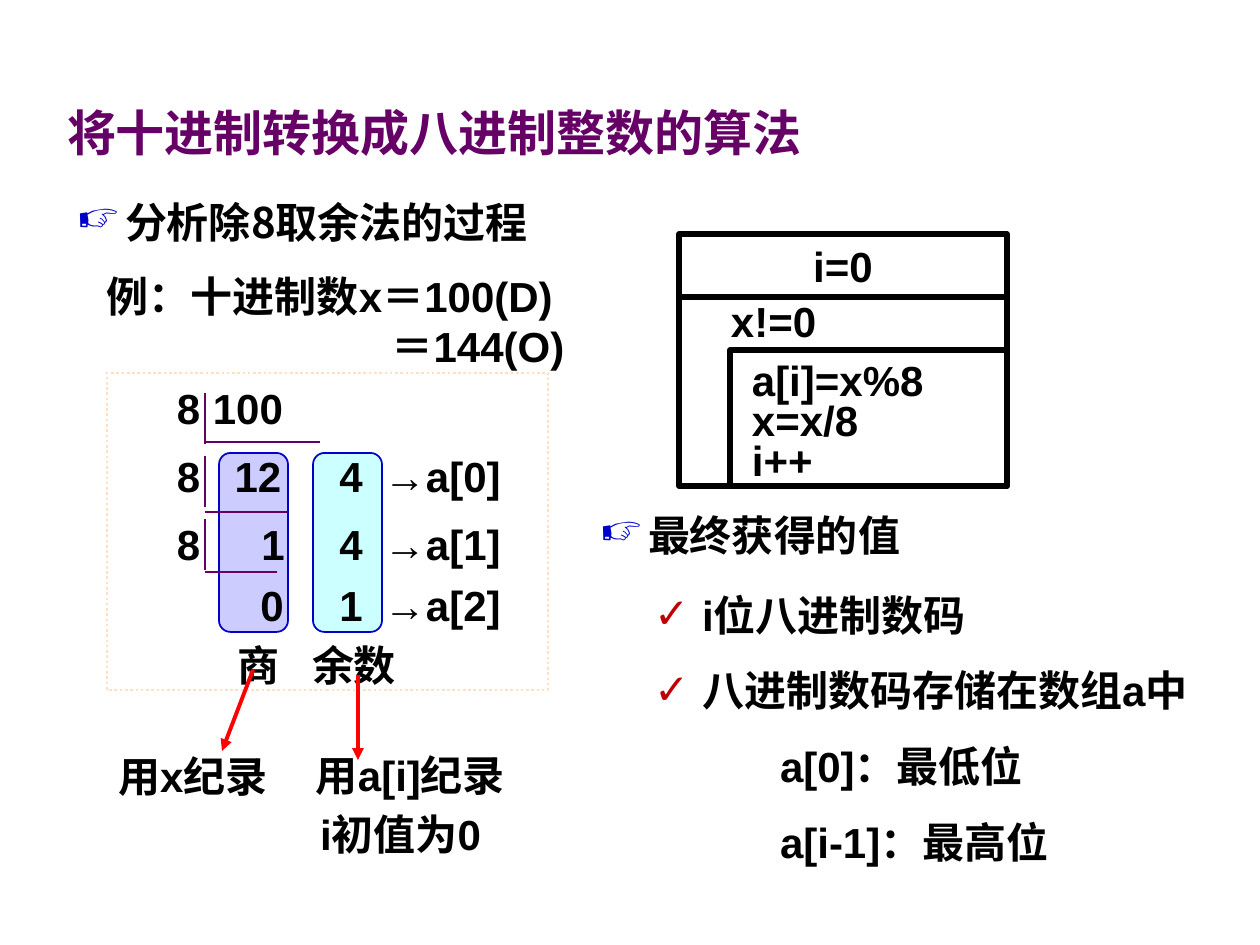
from typing import NamedTuple

from lxml import etree
from pptx import Presentation
from pptx import util as u
from pptx.dml.color import RGBColor
from pptx.enum import dml, shapes, text
from pptx.oxml.ns import qn

PX = 914400 / 126
BLACK = RGBColor(0x00, 0x00, 0x00)
PURPLE = RGBColor(0x66, 0x00, 0x66)
BLUE = RGBColor(0x00, 0x00, 0xCC)
BRICK = RGBColor(0xC0, 0x00, 0x00)
RED = RGBColor(0xFF, 0x00, 0x00)
LILAC = RGBColor(0xCC, 0xCC, 0xFF)
AQUA = RGBColor(0xCC, 0xFF, 0xFF)
PEACH = RGBColor(0xFF, 0xE0, 0xC2)
ARIAL, SANS, TIMES = "Arial", "Noto Sans CJK SC", "Times New Roman"
LEFT, CENTER = text.PP_ALIGN.LEFT, text.PP_ALIGN.CENTER
HANGING = 48


class Box(NamedTuple):
    left: int
    top: int
    width: int
    height: int


class Label(NamedTuple):
    words: str
    box: Box
    align: text.PP_ALIGN = LEFT
    font: str = ARIAL
    bullet: str = ""


class Stroke(NamedTuple):
    start: tuple[int, int]
    end: tuple[int, int]


class Frame(NamedTuple):
    box: Box
    line: RGBColor
    weight: float
    fill: RGBColor | None = None
    kind: shapes.MSO_SHAPE = shapes.MSO_SHAPE.RECTANGLE


class DivisionRow(NamedTuple):
    number: str
    number_left: int
    top: int
    remainder: str = ""
    target: str = ""
    rule_end: int = 0


def emu(*lengths: int) -> list[u.Emu]:
    return [u.Emu(round(length * PX)) for length in lengths]


def add_bullet(paragraph, mark: str, color: RGBColor) -> None:
    props = paragraph._p.get_or_add_pPr()
    indent = emu(HANGING)[0]
    props.set("marL", str(indent))
    props.set("indent", str(-indent))
    bullet_color = etree.SubElement(props, qn("a:buClr"))
    etree.SubElement(bullet_color, qn("a:srgbClr")).set("val", str(color))
    etree.SubElement(props, qn("a:buChar")).set("char", mark)


def drop_bullet(paragraph, indent: int) -> None:
    props = paragraph._p.get_or_add_pPr()
    props.set("marL", str(emu(indent)[0]))
    props.set("indent", "0")
    etree.SubElement(props, qn("a:buNone"))


def style(paragraph, font: str = ARIAL, size: int = 24, color: RGBColor = BLACK) -> None:
    paragraph.font.name = font
    paragraph.font.size = u.Pt(size)
    paragraph.font.bold = True
    paragraph.font.color.rgb = color


def set_insets(frame, horizontal: int, vertical: int) -> None:
    frame.margin_left, frame.margin_right = emu(horizontal, horizontal)
    frame.margin_top, frame.margin_bottom = emu(vertical, vertical)


def place(shape, box: Box) -> None:
    shape.left, shape.top, shape.width, shape.height = emu(*box)


def add_label(slide, label: Label) -> None:
    frame = slide.shapes.add_textbox(*emu(*label.box)).text_frame
    frame.word_wrap = True
    set_insets(frame, 0, 0)
    paragraph = frame.paragraphs[0]
    paragraph.text = label.words
    paragraph.alignment = label.align
    if label.bullet:
        add_bullet(paragraph, label.bullet, BLUE)
    style(paragraph, label.font)


def add_frame(slide, frame: Frame):
    shape = slide.shapes.add_shape(frame.kind, *emu(*frame.box))
    shape.shadow.inherit = False
    if frame.fill is None:
        shape.fill.background()
    else:
        shape.fill.solid()
        shape.fill.fore_color.rgb = frame.fill
    shape.line.color.rgb = frame.line
    shape.line.width = u.Pt(frame.weight)
    return shape


def add_stroke(slide, stroke: Stroke, color: RGBColor, weight: float, arrow: bool = False) -> None:
    line = slide.shapes.add_connector(
        shapes.MSO_CONNECTOR.STRAIGHT, *emu(*stroke.start, *stroke.end))
    line.line.color.rgb = color
    line.line.width = u.Pt(weight)
    if arrow:
        etree.SubElement(line.line._get_or_add_ln(), qn("a:tailEnd")).set("type", "triangle")
    etree.SubElement(line._element.spPr, qn("a:effectLst"))


def add_title(slide) -> None:
    title = slide.shapes.title
    place(title, Box(54, 96, 1052, 72))
    frame = title.text_frame
    frame.text = "将十进制转换成八进制整数的算法"
    frame.vertical_anchor = text.MSO_ANCHOR.TOP
    set_insets(frame, 13, 6)
    frame.paragraphs[0].alignment = LEFT
    style(frame.paragraphs[0], TIMES, 28, PURPLE)


def add_results(slide) -> None:
    body = slide.placeholders[1]
    place(body, Box(654, 564, 606, 305))
    frame = body.text_frame
    set_insets(frame, 0, 0)
    frame.text = "i位八进制数码\n八进制数码存储在数组a中\na[0]：最低位\na[i-1]：最高位"
    for number, paragraph in enumerate(frame.paragraphs):
        paragraph.line_spacing = 1.5
        paragraph.space_before = u.Pt(0)
        if number < 2:
            add_bullet(paragraph, "✓", BRICK)
        else:
            drop_bullet(paragraph, 126)
        style(paragraph)


def add_division(slide) -> None:
    for left, fill in ((219, LILAC), (313, AQUA)):
        add_frame(slide, Frame(Box(left, 453, 69, 179), BLUE, 1, fill,
                               shapes.MSO_SHAPE.ROUNDED_RECTANGLE))
    rows = [
        DivisionRow("100", 190, 383, rule_end=320),
        DivisionRow("12", 200, 451, "4", "→a[0]", 287),
        DivisionRow("1", 215, 519, "4", "→a[1]", 277),
        DivisionRow("0", 214, 580, "1", "→a[2]"),
    ]
    rule_tops = (442, 512, 572)
    bar_tops = (393, 456, 519)
    for row in rows:
        add_label(slide, Label(row.number, Box(row.number_left, row.top, 116, 50), CENTER))
        if row.rule_end:
            add_label(slide, Label("8", Box(152, row.top, 73, 50), CENTER))
        if row.remainder:
            add_label(slide, Label(row.remainder, Box(320, row.top, 62, 50), CENTER))
            add_label(slide, Label(row.target, Box(384, row.top, 136, 50)))
    for row, rule, bar in zip(rows, rule_tops, bar_tops):
        add_stroke(slide, Stroke((205, bar), (205, bar + 51)), PURPLE, 1)
        add_stroke(slide, Stroke((205, rule), (row.rule_end, rule)), PURPLE, 1)


def add_loop_chart(slide) -> None:
    for box in (Box(679, 234, 328, 63), Box(679, 297, 328, 189), Box(730, 350, 277, 136)):
        add_frame(slide, Frame(box, BLACK, 3))
    add_label(slide, Label("i=0", Box(679, 241, 328, 50), CENTER))
    add_label(slide, Label("x!=0", Box(731, 296, 198, 50)))
    for step, words in enumerate(("a[i]=x%8", "x=x/8", "i++")):
        add_label(slide, Label(words, Box(752, 355 + 40 * step, 240, 50)))


def main() -> None:
    deck = Presentation()
    deck.slide_width, deck.slide_height = emu(1260, 945)
    slide = deck.slides.add_slide(deck.slide_layouts[1])
    add_title(slide)
    add_results(slide)
    add_division(slide)
    add_loop_chart(slide)
    for label in (
        Label("分析除8取余法的过程", Box(77, 197, 848, 50), font=SANS, bullet="☞"),
        Label("例：十进制数x＝100(D)", Box(107, 271, 464, 100)),
        Label("＝144(O)", Box(373, 321, 210, 50), CENTER),
        Label("商", Box(238, 640, 100, 50), font=SANS),
        Label("余数", Box(312, 640, 108, 50), font=SANS),
        Label("用x纪录", Box(118, 751, 208, 50)),
        Label("用a[i]纪录", Box(316, 750, 267, 50)),
        Label("i初值为0", Box(320, 809, 208, 50)),
        Label("最终获得的值", Box(600, 510, 407, 50), font=SANS, bullet="☞"),
    ):
        add_label(slide, label)
    example = add_frame(slide, Frame(Box(107, 373, 441, 317), PEACH, 1.5))
    example.line.dash_style = dml.MSO_LINE.ROUND_DOT
    for stroke in (Stroke((358, 675), (358, 760)), Stroke((253, 670), (222, 751))):
        add_stroke(slide, stroke, RED, 2.25, arrow=True)
    deck.save("out.pptx")


if __name__ == "__main__":
    main()
